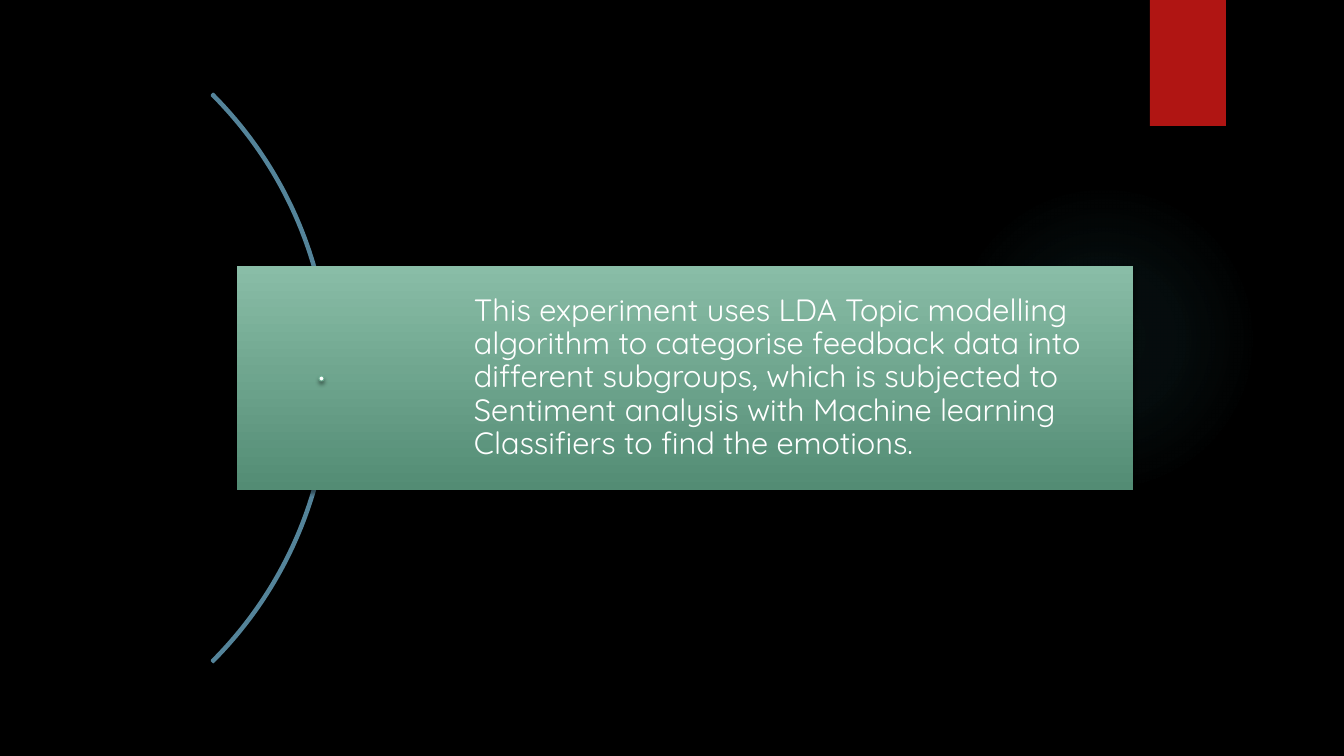
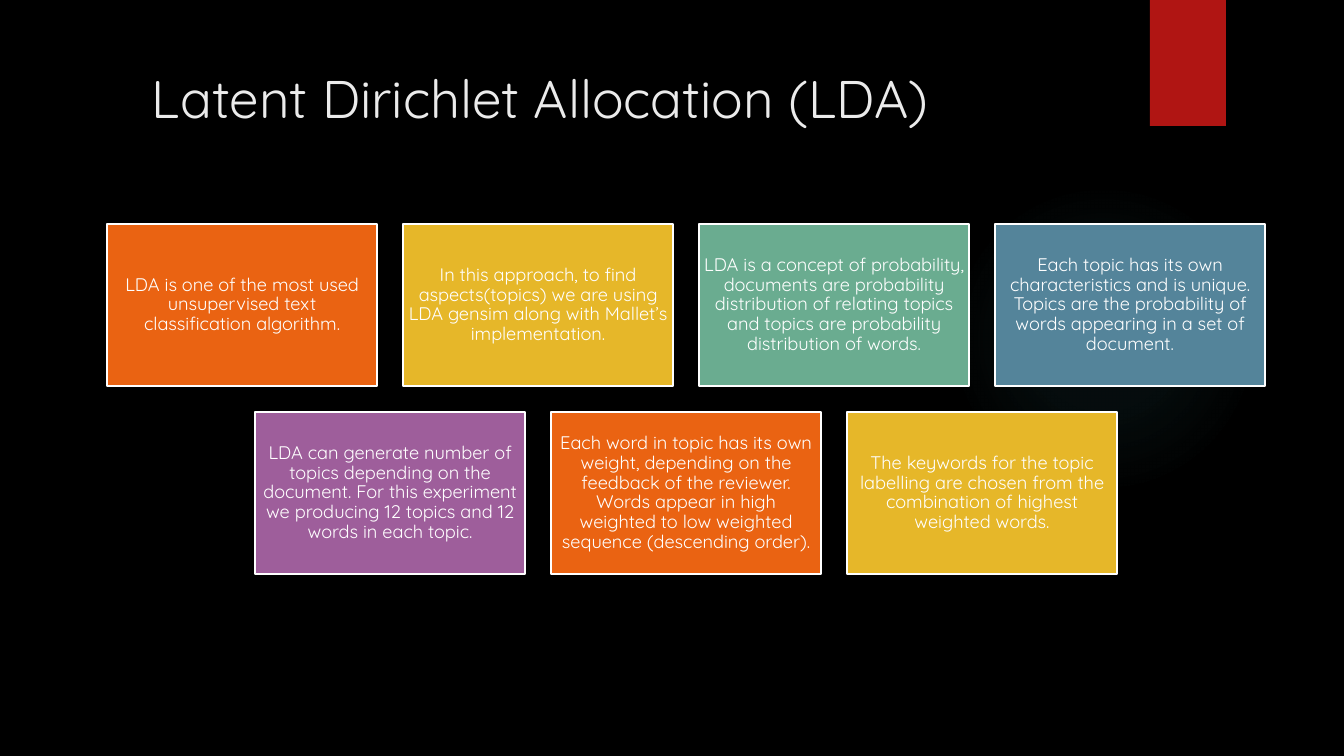
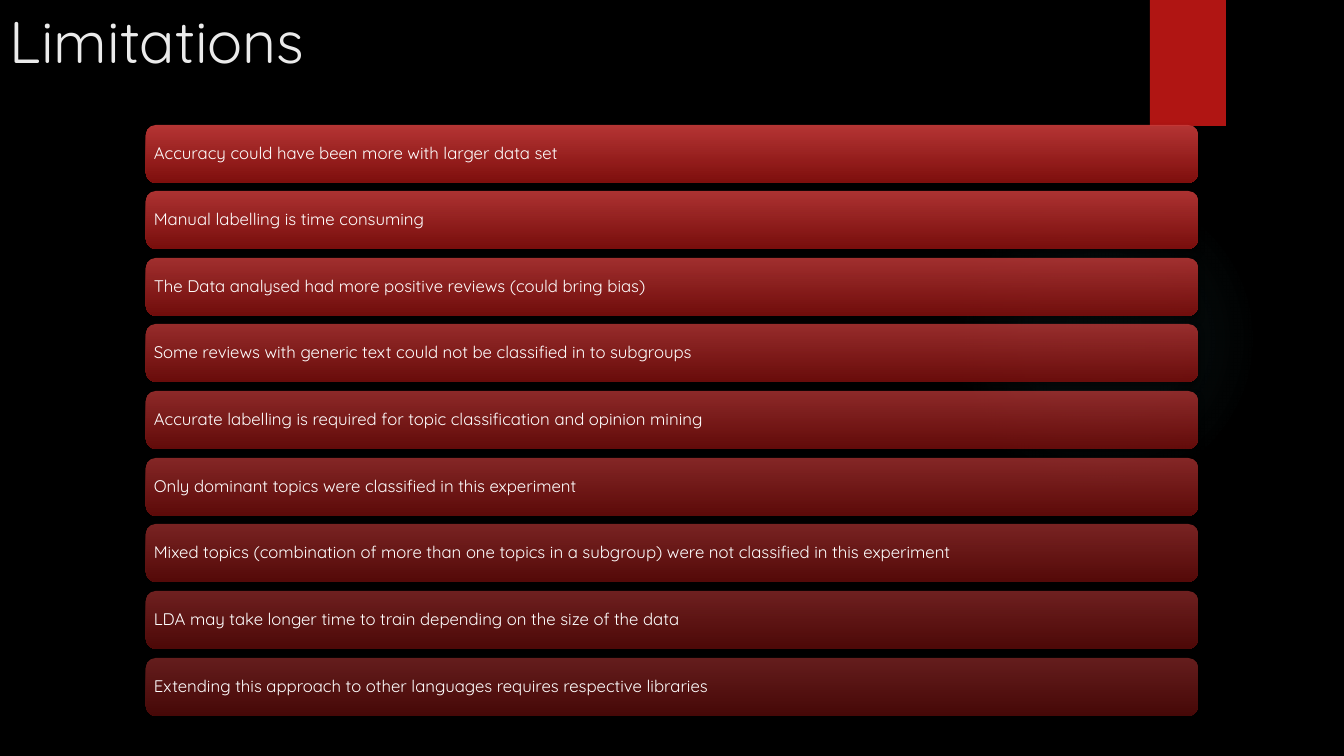
from lxml.etree import SubElement
from pptx import Presentation
from pptx.dml.color import RGBColor
from pptx.enum.shapes import MSO_SHAPE as Preset
from pptx.enum.text import MSO_ANCHOR as Anchor, PP_ALIGN as Align
from pptx.oxml.ns import qn
from pptx.util import Emu, Pt

PX_PER_INCH = 100.8
PAGE_WIDTH, PAGE_HEIGHT = 1344, 756
FONT = "Quicksand"

BLACK = RGBColor(0x00, 0x00, 0x00)
WHITE = RGBColor(0xFF, 0xFF, 0xFF)
TITLE_GREY = RGBColor(0xEB, 0xEB, 0xEB)
BAND_RED = RGBColor(0xB0, 0x15, 0x13)
GLOW_TEAL = RGBColor(0x50, 0xB9, 0xC1)
ORANGE = RGBColor(0xEA, 0x63, 0x12)
YELLOW = RGBColor(0xE6, 0xB7, 0x29)
GREEN = RGBColor(0x6A, 0xAC, 0x90)
BLUE = RGBColor(0x54, 0x84, 0x9A)
PURPLE = RGBColor(0x9E, 0x5E, 0x9B)
LIGHT_GREEN = RGBColor(0x89, 0xBD, 0xA7)
DARK_GREEN = RGBColor(0x53, 0x8C, 0x74)
LIGHT_RED = RGBColor(0xC9, 0x3B, 0x3A)
DARK_RED = RGBColor(0x8D, 0x11, 0x0F)

SUMMARY = (
    "This experiment uses LDA Topic modelling algorithm to categorise feedback data "
    "into different subgroups, which is subjected to Sentiment analysis with Machine "
    "learning Classifiers to find the emotions."
)
LDA_ROWS = [
    [
        (ORANGE, "LDA is one of the most used unsupervised text classification algorithm."),
        (YELLOW, "In this approach, to find aspects(topics) we are using LDA gensim "
                 "along with Mallet’s implementation."),
        (GREEN, "LDA is a concept of probability, documents are probability distribution "
                "of relating topics and topics are probability distribution of words."),
        (BLUE, "Each topic has its own characteristics and is unique. Topics are the "
               "probability of words appearing in a set of document."),
    ],
    [
        (PURPLE, "LDA can generate number of topics depending on the document. For this "
                 "experiment we producing 12 topics and 12 words in each topic."),
        (ORANGE, "Each word in topic has its own weight, depending on the feedback of the "
                 "reviewer. Words appear in high weighted to low weighted sequence "
                 "(descending order)."),
        (YELLOW, "The keywords for the topic labelling are chosen from the combination of "
                 "highest weighted words."),
    ],
]
LIMITATIONS = [
    "Accuracy could have been more with larger data set",
    "Manual labelling is time consuming",
    "The Data analysed had more positive reviews (could bring bias)",
    "Some reviews with generic text could not be classified in to subgroups",
    "Accurate labelling is required for topic classification and opinion mining",
    "Only dominant topics were classified in this experiment",
    "Mixed topics (combination of more than one topics in a subgroup) were not "
    "classified in this experiment",
    "LDA may take longer time to train depending on the size of the data",
    "Extending this approach to other languages requires respective libraries",
]


def px(length):
    return Emu(round(length * 914400 / PX_PER_INCH))


def add_colour(parent, colour, opacity):
    node = SubElement(parent, qn("a:srgbClr"), val=str(colour))
    SubElement(node, qn("a:alpha"), val=str(opacity * 1000))


def fill_gradient(shape, stops, radial=False):
    gradient = SubElement(shape.element.spPr, qn("a:gradFill"), rotWithShape="1")
    stop_list = SubElement(gradient, qn("a:gsLst"))
    for position, colour, opacity in stops:
        stop = SubElement(stop_list, qn("a:gs"), pos=str(position * 1000))
        add_colour(stop, colour, opacity)
    if radial:
        circle = SubElement(gradient, qn("a:path"), path="circle")
        SubElement(circle, qn("a:fillToRect"), l="50000", t="50000", r="50000", b="50000")
    else:
        SubElement(gradient, qn("a:lin"), ang="5400000", scaled="0")


def cast_shadow(shape, opacity=45, blur=3, distance=2):
    effects = shape.element.spPr.find(qn("a:effectLst"))
    shadow = SubElement(effects, qn("a:outerShdw"), blurRad=str(Pt(blur)),
                        dist=str(Pt(distance)), dir="5400000", rotWithShape="0")
    add_colour(shadow, BLACK, opacity)


def add_box(page, preset, left, top, width, height, *, fill=None, stops=None,
            radial=False, line=None, line_width=1.5):
    box = page.shapes.add_shape(preset, px(left), px(top), px(width), px(height))
    if stops:
        fill_gradient(box, stops, radial)
    elif fill is not None:
        box.fill.solid()
        box.fill.fore_color.rgb = fill
    else:
        box.fill.background()
    if line is None:
        box.line.fill.background()
    else:
        box.line.color.rgb = line
        box.line.width = Pt(line_width)
    box.shadow.inherit = False
    return box


def write(box, text, *, size, colour=WHITE, align=Align.LEFT, anchor=Anchor.MIDDLE,
          spacing=0.9, inset=5, left_inset=None):
    frame = box.text_frame
    frame.word_wrap = True
    frame.vertical_anchor = anchor
    frame.margin_left = px(inset if left_inset is None else left_inset)
    frame.margin_top = frame.margin_right = frame.margin_bottom = px(inset)
    para = frame.paragraphs[0]
    para.alignment = align
    para.line_spacing = spacing
    span = para.add_run()
    span.text = text
    span.font.name = FONT
    span.font.size = Pt(size)
    span.font.color.rgb = colour


def add_title(page, text, left, top, width, height, *, size, spacing):
    box = page.shapes.add_textbox(px(left), px(top), px(width), px(height))
    write(box, text, size=size, colour=TITLE_GREY, anchor=Anchor.TOP,
          spacing=spacing, left_inset=10)


def add_page(deck):
    page = deck.slides.add_slide(deck.slide_layouts[6])
    page.background.fill.solid()
    page.background.fill.fore_color.rgb = BLACK
    glow = [(0, GLOW_TEAL, 7), (36, GLOW_TEAL, 6), (69, GLOW_TEAL, 0)]
    add_box(page, Preset.OVAL, 949, 184, 310, 310, stops=glow, radial=True)
    cast_shadow(add_box(page, Preset.RECTANGLE, 1150, 0, 76, 126, fill=BAND_RED))
    return page


def build_summary(deck):
    page = add_page(deck)
    arc = add_box(page, Preset.BLOCK_ARC, -473, -24, 804, 804, line=BLUE)
    for index, value in enumerate((189, 27, 0.003)):
        arc.adjustments[index] = value
    panel = add_box(page, Preset.RECTANGLE, 237, 266, 896, 224,
                    stops=[(0, LIGHT_GREEN, 100), (100, DARK_GREEN, 100)])
    cast_shadow(panel)
    write(panel, SUMMARY, size=22, inset=6, left_inset=237)
    dot = add_box(page, Preset.OVAL, 319, 376, 5, 5, fill=WHITE, line=GREEN, line_width=0.75)
    cast_shadow(dot)


def build_lda(deck):
    page = add_page(deck)
    add_title(page, "Latent Dirichlet Allocation (LDA)", 142, 68, 1124, 121,
              size=37.8, spacing=0.9)
    width, height, gap, centre, first_top = 270, 162, 26, 686, 224
    for row, cards in enumerate(LDA_ROWS):
        row_width = len(cards) * (width + gap) - gap
        top = first_top + row * (height + gap)
        for column, (colour, text) in enumerate(cards):
            left = centre - row_width // 2 + column * (width + gap)
            card = add_box(page, Preset.RECTANGLE, left, top, width, height,
                           fill=colour, line=WHITE)
            write(card, text, size=13, align=Align.CENTER)


def build_limitations(deck):
    page = add_page(deck)
    add_title(page, "Limitations", 0, 0, 948, 145, size=42, spacing=1.0)
    first_top, last_top = 125, 658
    for index, text in enumerate(LIMITATIONS):
        top = first_top + index * (last_top - first_top) // (len(LIMITATIONS) - 1)
        opacity = 90 - 5 * index
        bar = add_box(page, Preset.ROUNDED_RECTANGLE, 146, top, 1052, 58,
                      stops=[(0, LIGHT_RED, opacity), (100, DARK_RED, opacity)])
        cast_shadow(bar, opacity=60, blur=5, distance=3)
        write(bar, text, size=12)


def main():
    deck = Presentation()
    deck.slide_width = px(PAGE_WIDTH)
    deck.slide_height = px(PAGE_HEIGHT)
    build_summary(deck)
    build_lda(deck)
    build_limitations(deck)
    deck.save("out.pptx")


if __name__ == "__main__":
    main()
